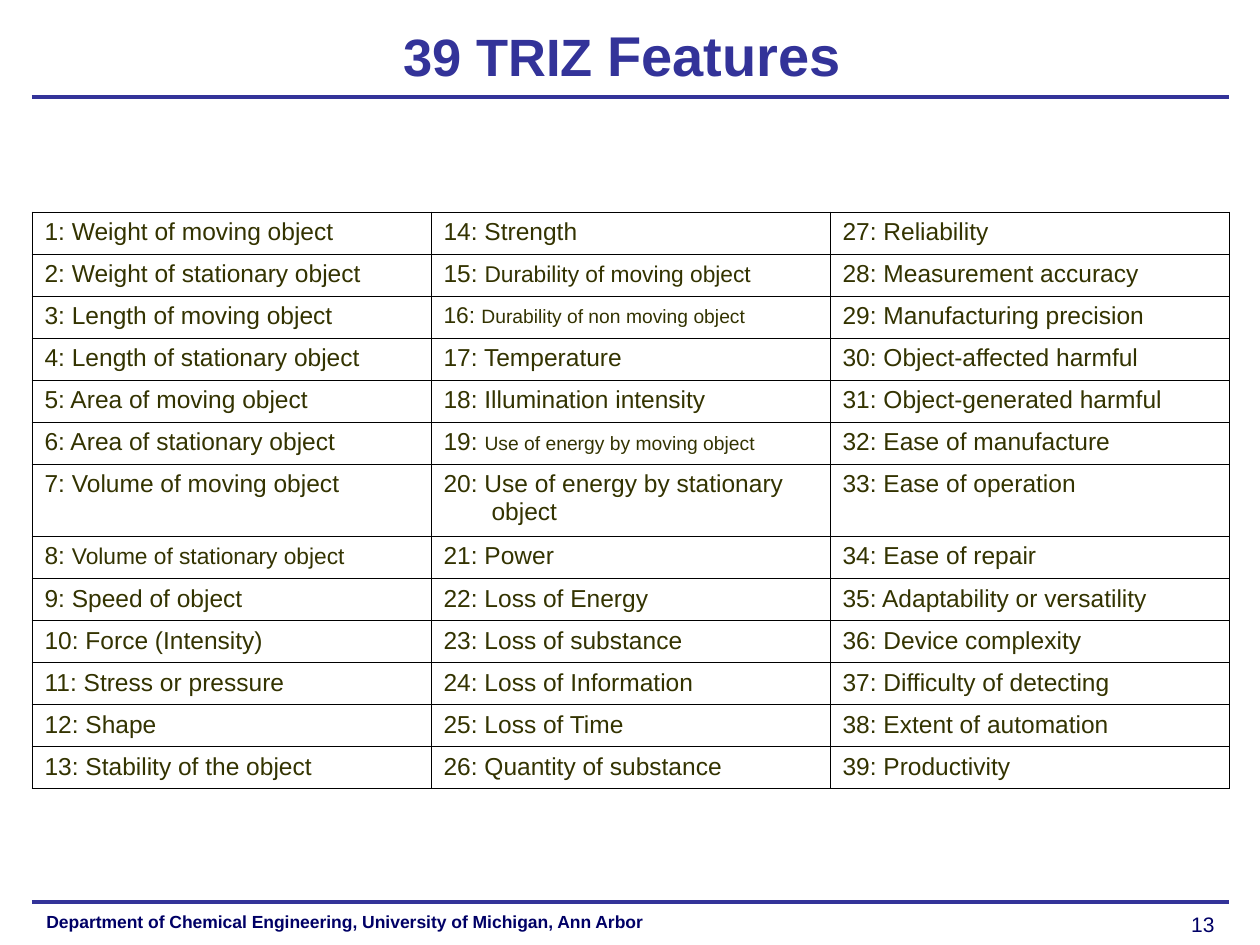
from lxml.etree import SubElement
from pptx import Presentation
from pptx.dml.color import RGBColor
from pptx.enum.shapes import MSO_CONNECTOR
from pptx.enum.text import MSO_ANCHOR, PP_ALIGN
from pptx.oxml import parse_xml
from pptx.oxml.ns import nsdecls, qn
from pptx.util import Pt

PX = 914400 // 126
COLORS = {"title": "333399", "foot": "000066", "cell": "333300", "edge": "000000"}

# Content: a cell is text, or a list of (text, size) runs
TITLE = [("39 TRIZ ", 30), ("Features ", 32)]
FOOT = [("Department of Chemical Engineering, University of Michigan, Ann Arbor", 10)]
PAGE = [("13", 12)]
COLUMNS = [
    [
        "1: Weight of moving object",
        "2: Weight of stationary object",
        "3: Length of moving object",
        "4: Length of stationary object",
        "5: Area of moving object",
        "6: Area of stationary object",
        "7: Volume of moving object",
        [("8: ", 14), ("Volume of stationary object", 13)],
        "9: Speed of object",
        "10: Force (Intensity)",
        "11: Stress or pressure",
        "12: Shape",
        "13: Stability of the object",
    ],
    [
        "14: Strength",
        [("15: ", 14), ("Durability of moving object", 13)],
        [("16: ", 13), ("Durability of non moving object", 11)],
        "17: Temperature",
        "18: Illumination intensity",
        [("19: ", 14), ("Use of energy by moving object", 11)],
        "20: Use of energy by stationary object",
        "21: Power",
        "22: Loss of Energy",
        "23: Loss of substance",
        "24: Loss of Information",
        "25: Loss of Time",
        "26: Quantity of substance",
    ],
    [
        "27: Reliability",
        "28: Measurement accuracy",
        "29: Manufacturing precision",
        "30: Object-affected harmful",
        "31: Object-generated harmful",
        "32: Ease of manufacture",
        "33: Ease of operation",
        "34: Ease of repair",
        "35: Adaptability or versatility",
        "36: Device complexity",
        "37: Difficulty of detecting",
        "38: Extent of automation",
        "39: Productivity",
    ],
]

# Layout in px
LEFT, RIGHT = 32, 1229
RULES = [97, 902]
TOP, WIDTH, HEIGHT, TALL = 212, 399, 42, 72
TALL_ROW = 6
HANG = 48
OUTER, INNER = Pt(0.45), Pt(0.34)

BOXES = [
    (TITLE, (21, 10, 1218, 88), "title", True, PP_ALIGN.CENTER, MSO_ANCHOR.MIDDLE),
    (FOOT, (34, 905, 840, 32), "foot", True, PP_ALIGN.LEFT, MSO_ANCHOR.TOP),
    (PAGE, (1080, 905, 147, 33), "foot", False, PP_ALIGN.RIGHT, MSO_ANCHOR.TOP),
]


def write(para, runs, color, bold=False):
    for text, size in runs:
        run = para.add_run()
        run.text = text
        look = {"name": "Arial", "size": Pt(size), "bold": bold}
        for key, value in look.items():
            setattr(run.font, key, value)
        run.font.color.rgb = RGBColor.from_string(COLORS[color])


def edge(cell, widths):
    props = cell._tc.get_or_add_tcPr()
    for spot, (side, width) in enumerate(widths.items()):
        line = parse_xml(
            f'<a:ln{side} {nsdecls("a")} w="{int(width)}"><a:solidFill>'
            f'<a:srgbClr val="{COLORS["edge"]}"/></a:solidFill></a:ln{side}>'
        )
        props.insert(spot, line)


deck = Presentation()
deck.slide_width, deck.slide_height = 1260 * PX, 945 * PX
slide = deck.slides.add_slide(deck.slide_layouts[6])
shapes = slide.shapes

# Rules above and below the body
for y in RULES:
    rule = shapes.add_connector(
        MSO_CONNECTOR.STRAIGHT, LEFT * PX, y * PX, RIGHT * PX, y * PX
    )
    rule.line.width = Pt(2.25)
    rule.line.color.rgb = RGBColor.from_string(COLORS["title"])
    SubElement(rule._element.spPr, qn("a:effectLst"))

# Title, footer and page number
for runs, area, color, bold, align, anchor in BOXES:
    frame = shapes.add_textbox(*(n * PX for n in area)).text_frame
    frame.word_wrap = True
    frame.vertical_anchor = anchor
    frame.paragraphs[0].alignment = align
    write(frame.paragraphs[0], runs, color, bold)

# Feature table
rows, cols = len(COLUMNS[0]), len(COLUMNS)
heights = [TALL if r == TALL_ROW else HEIGHT for r in range(rows)]
table = shapes.add_table(
    rows, cols, LEFT * PX, TOP * PX, cols * WIDTH * PX, sum(heights) * PX
).table
table.first_row = table.horz_banding = False
for col in table.columns:
    col.width = WIDTH * PX
for row, height in zip(table.rows, heights):
    row.height = height * PX

for c, column in enumerate(COLUMNS):
    for r, item in enumerate(column):
        cell = table.cell(r, c)
        cell.fill.background()
        edge(cell, {
            "L": OUTER if c == 0 else INNER,
            "R": OUTER if c == cols - 1 else INNER,
            "T": OUTER if r == 0 else INNER,
            "B": OUTER if r == rows - 1 else INNER,
        })
        para = cell.text_frame.paragraphs[0]
        props = para._p.get_or_add_pPr()
        props.set("marL", str(HANG * PX))
        props.set("indent", str(-HANG * PX))
        write(para, [(item, 14)] if isinstance(item, str) else item, "cell")

deck.save("out.pptx")
